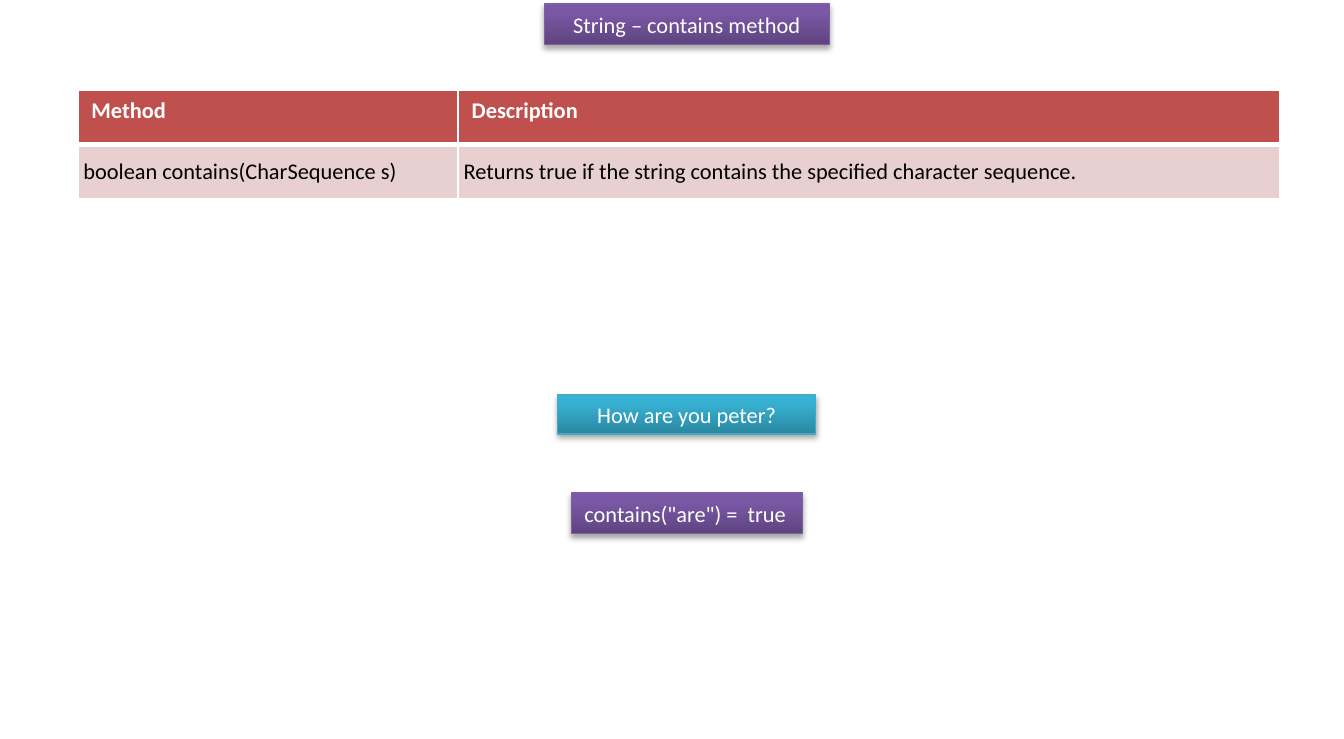
"""Build the slide on the String contains method."""
import copy
import pptx
import pptx.dml.color
import pptx.enum.shapes
import pptx.enum.text
import pptx.oxml
import pptx.oxml.ns
import pptx.util

Inches, Pt = pptx.util.Inches, pptx.util.Pt
Align, Anchor = pptx.enum.text.PP_ALIGN, pptx.enum.text.MSO_ANCHOR
qn, ns = pptx.oxml.ns.qn, pptx.oxml.ns.nsdecls("a")


def color(text):
    return pptx.dml.color.RGBColor.from_string(text)


def write(frame, text, shade, bold=False):
    run = frame.paragraphs[0].add_run()
    run.text = text
    run.font.name, run.font.size = "Calibri", Pt(12)
    run.font.bold, run.font.color.rgb = bold, color(shade)


deck = pptx.Presentation()
deck.slide_width, deck.slide_height = Inches(10), Inches(5.5)
slide = deck.slides.add_slide(deck.slide_layouts[5])

grid = slide.shapes.add_table(2, 2, Inches(0.58), Inches(0.67), Inches(8.94), Inches(0.81)).table
grid.first_row = grid.horz_banding = False
for col, width in zip(grid.columns, (2.83, 6.11)):
    col.width = Inches(width)
rows = [
    (("Method", "Description"), "C0504D", "FFFFFF", 3),
    (("boolean contains(CharSequence s)",
      "Returns true if the string contains the specified character sequence."),
     "E8D0D0", "000000", 1),
]
for r, (texts, fill, ink, base) in enumerate(rows):
    for c, text in enumerate(texts):
        cell = grid.cell(r, c)
        write(cell.text_frame, text, ink, bold=r == 0)
        if r:
            cell.vertical_anchor = Anchor.MIDDLE
            cell.margin_left = cell.margin_right = Inches(0.04)
            cell.margin_top = cell.margin_bottom = Inches(0.04)
        props = cell._tc.get_or_add_tcPr()
        for side, width in zip("LRTB", (1, 1, 1, base)):
            props.append(pptx.oxml.parse_xml(
                f'<a:ln{side} {ns} w="{Pt(width)}"><a:solidFill>'
                f'<a:srgbClr val="FFFFFF"/></a:solidFill></a:ln{side}>'))
        cell.fill.solid()
        cell.fill.fore_color.rgb = color(fill)

purple = ("5F4480", "7B58A6", "7C57A8"), "7D60A0"
teal = ("2A88A2", "37B1D2", "34B4D6"), "46AAC5"
rect = pptx.enum.shapes.MSO_SHAPE.RECTANGLE
boxes = [
    ("String – contains method", (4.05, 0.03, 2.12, 0.3), purple, Align.CENTER, Anchor.TOP, True),
    ('contains("are") =  true', (4.25, 3.67, 1.72, 0.3), purple, Align.LEFT, Anchor.TOP, False),
    ("How are you peter?", (4.15, 2.94, 1.92, 0.29), teal, Align.CENTER, Anchor.MIDDLE, True),
]
for i, (text, place, (stops, edge), align, anchor, wrap) in enumerate(boxes):
    spot = [Inches(n) for n in place]
    if i:
        box = slide.shapes.add_shape(rect, *spot)
    else:
        box = slide.shapes.title
        box.left, box.top, box.width, box.height = spot
    box.fill.gradient()
    box.fill.gradient_angle = 90
    ramp = box._element.spPr.find(".//" + qn("a:gsLst"))
    ramp.append(copy.deepcopy(ramp[0]))
    for stop, shade, where in zip(box.fill.gradient_stops, stops, (0, 0.8, 1)):
        stop.color.rgb, stop.position = color(shade), where
    box.line.color.rgb, box.line.width = color(edge), Pt(0.75)
    glow = pptx.oxml.parse_xml(
        f'<a:effectLst {ns}><a:outerShdw blurRad="{Pt(3.1)}" dist="{Pt(1.8)}" '
        'dir="5400000" rotWithShape="0"><a:srgbClr val="000000">'
        '<a:alpha val="35000"/></a:srgbClr></a:outerShdw></a:effectLst>')
    box._element.spPr.append(glow)
    frame = box.text_frame
    frame.auto_size = pptx.enum.text.MSO_AUTO_SIZE.NONE
    frame.word_wrap, frame.vertical_anchor = wrap, anchor
    frame.paragraphs[0].alignment = align
    write(frame, text, "FFFFFF")

deck.save("out.pptx")
